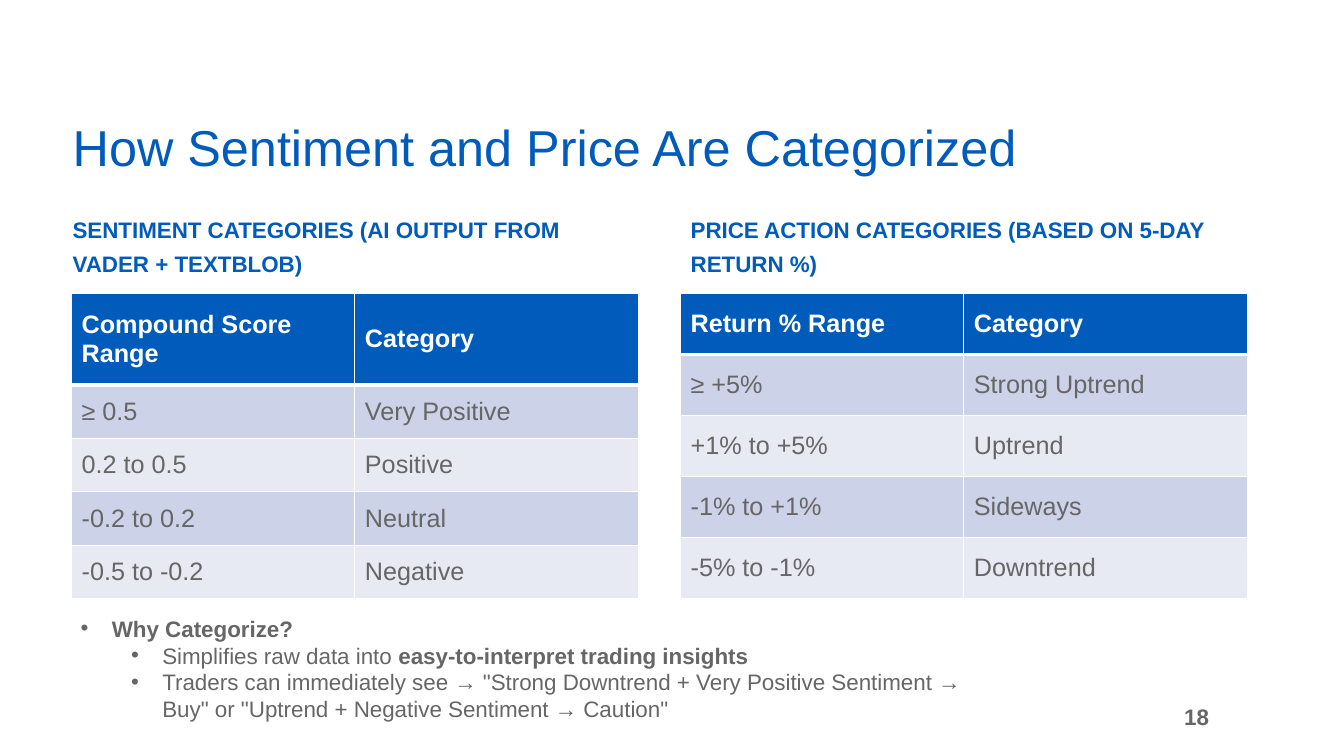
"""Slide on how sentiment scores and price returns are sorted into categories."""
from lxml import etree
from pptx import Presentation
from pptx import util as u
from pptx.dml.color import RGBColor
from pptx.enum import text
from pptx.oxml import ns

BLUE = RGBColor(0x00, 0x5B, 0xBB)
GREY = RGBColor(0x66, 0x66, 0x66)
WHITE = RGBColor(0xFF, 0xFF, 0xFF)
BAND_DARK = RGBColor(0xCC, 0xD2, 0xE7)
BAND_LIGHT = RGBColor(0xE7, 0xEA, 0xF3)


def place(shape, left, top, width, height, anchor):
    shape.left, shape.top = u.Inches(left), u.Inches(top)
    shape.width, shape.height = u.Inches(width), u.Inches(height)
    frame = shape.text_frame
    frame.word_wrap = True
    frame.auto_size = text.MSO_AUTO_SIZE.NONE
    frame.vertical_anchor = anchor
    return frame


def write(paragraph, wording, size, color, bold=False, align=text.PP_ALIGN.LEFT):
    paragraph.alignment = align
    run = paragraph.add_run()
    run.text = wording
    look = {"name": "Arial", "size": u.Pt(size), "bold": bold}
    for key, value in look.items():
        setattr(run.font, key, value)
    run.font.color.rgb = color


deck = Presentation()
deck.slide_width, deck.slide_height = u.Inches(13.33), u.Inches(7.5)
slide = deck.slides.add_slide(deck.slide_layouts[4])
spots = {spot.placeholder_format.idx: spot for spot in slide.placeholders}
spots[4].element.getparent().remove(spots[4].element)

title = place(spots[0], 0.62, 1.16, 11.5, 0.65, text.MSO_ANCHOR.BOTTOM).paragraphs[0]
title.line_spacing = 0.9
write(title, "How Sentiment and Price Are Categorized", 36, BLUE)

categories = [
    (1, 0.62, 0.71, "SENTIMENT CATEGORIES (AI OUTPUT FROM VADER + TEXTBLOB)", [0.91] + [0.53] * 4,
     [("Compound Score Range", "Category"), ("≥ 0.5", "Very Positive"),
      ("0.2 to 0.5", "Positive"), ("-0.2 to 0.2", "Neutral"), ("-0.5 to -0.2", "Negative")]),
    (3, 6.75, 6.75, "PRICE ACTION CATEGORIES (BASED ON 5-DAY RETURN %)", [0.606] * 5,
     [("Return % Range", "Category"), ("≥ +5%", "Strong Uptrend"),
      ("+1% to +5%", "Uptrend"), ("-1% to +1%", "Sideways"), ("-5% to -1%", "Downtrend")]),
]
for idx, heading_left, table_left, wording, heights, rows in categories:
    heading = place(spots[idx], heading_left, 2.01, 5.62, 0.9, text.MSO_ANCHOR.TOP).paragraphs[0]
    heading.line_spacing = 1.3
    heading.space_before = u.Pt(0)
    write(heading, wording, 16, BLUE, bold=True)

    ranges = slide.shapes.add_table(len(rows), 2, u.Inches(table_left), u.Inches(2.91),
                                    u.Inches(5.62), u.Inches(sum(heights))).table
    for r, (height, row) in enumerate(zip(heights, rows)):
        ranges.rows[r].height = u.Inches(height)
        for c, entry in enumerate(row):
            cell = ranges.cell(r, c)
            cell.vertical_anchor = text.MSO_ANCHOR.MIDDLE
            thick = {0: "lnB", 1: "lnT"}.get(r)
            for side in ("lnL", "lnR", "lnT", "lnB"):
                edge = etree.SubElement(cell._tc.get_or_add_tcPr(), ns.qn("a:" + side),
                                        w=str(u.Pt(3 if side == thick else 1)))
                paint = etree.SubElement(edge, ns.qn("a:solidFill"))
                etree.SubElement(paint, ns.qn("a:srgbClr"), val=str(WHITE))
            cell.fill.solid()
            cell.fill.fore_color.rgb = BLUE if r == 0 else BAND_DARK if r % 2 else BAND_LIGHT
            write(cell.text_frame.paragraphs[0], entry, 18, GREY if r else WHITE, bold=r == 0)

reasons = [
    (0, [("Why Categorize?", True)]),
    (1, [("Simplifies raw data into ", False), ("easy-to-interpret trading insights", True)]),
    (1, [("Traders can immediately see → \"Strong Downtrend + Very Positive Sentiment → Buy\" "
          "or \"Uptrend + Negative Sentiment → Caution\"", False)]),
]
why = place(spots[2], 0.7, 6.05, 9.44, 1.45, text.MSO_ANCHOR.TOP)
for n, (level, pieces) in enumerate(reasons):
    reason = why.add_paragraph() if n else why.paragraphs[0]
    reason.level = level
    reason.space_before = u.Pt(0)
    indents = reason._p.get_or_add_pPr()
    indents.set("marL", str(u.Inches(0.31 + 0.5 * level)))
    indents.set("indent", str(u.Inches(-0.31)))
    etree.SubElement(indents, ns.qn("a:buFont"), typeface="Arial")
    etree.SubElement(indents, ns.qn("a:buChar"), char="•")
    for wording, bold in pieces:
        write(reason, wording, 16, GREY, bold)

page = slide.shapes.add_textbox(0, 0, 0, 0)
number = place(page, 7.59, 6.91, 4.5, 0.4, text.MSO_ANCHOR.MIDDLE).paragraphs[0]
write(number, "18", 16, GREY, bold=True, align=text.PP_ALIGN.RIGHT)

deck.save("out.pptx")
